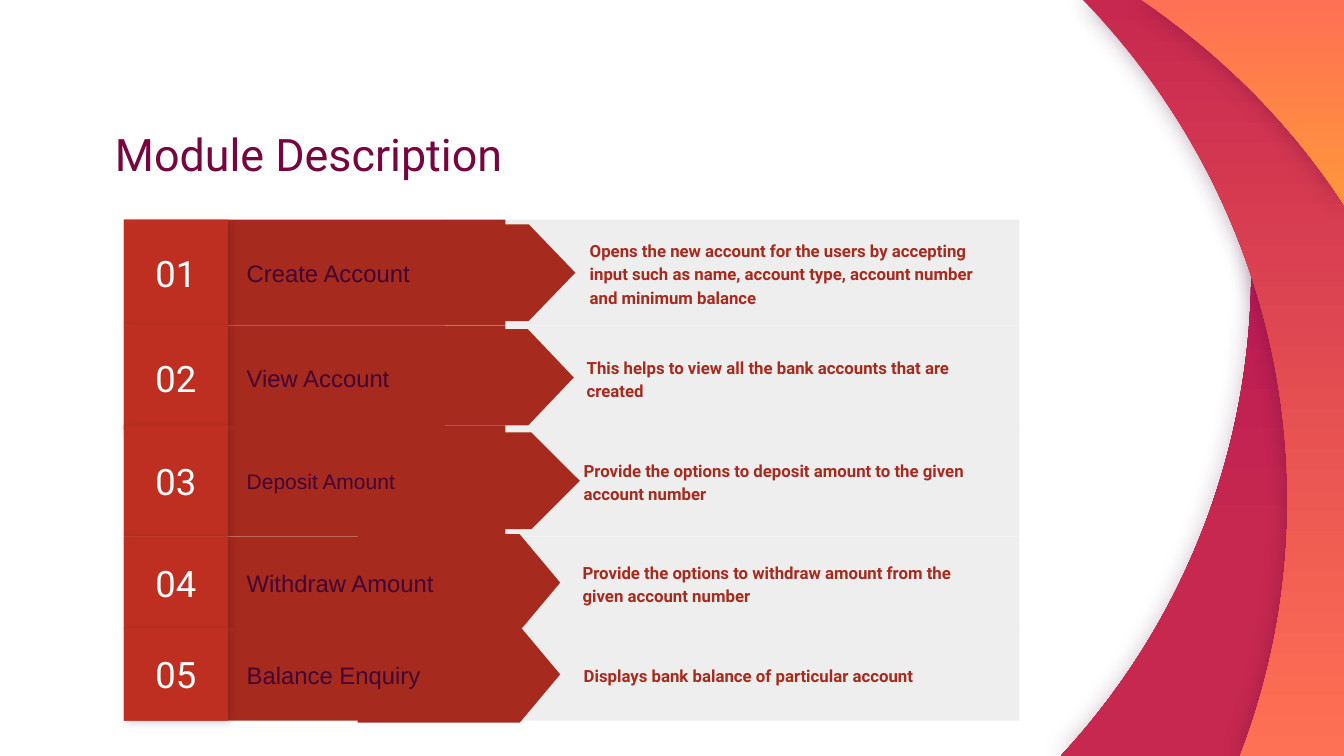
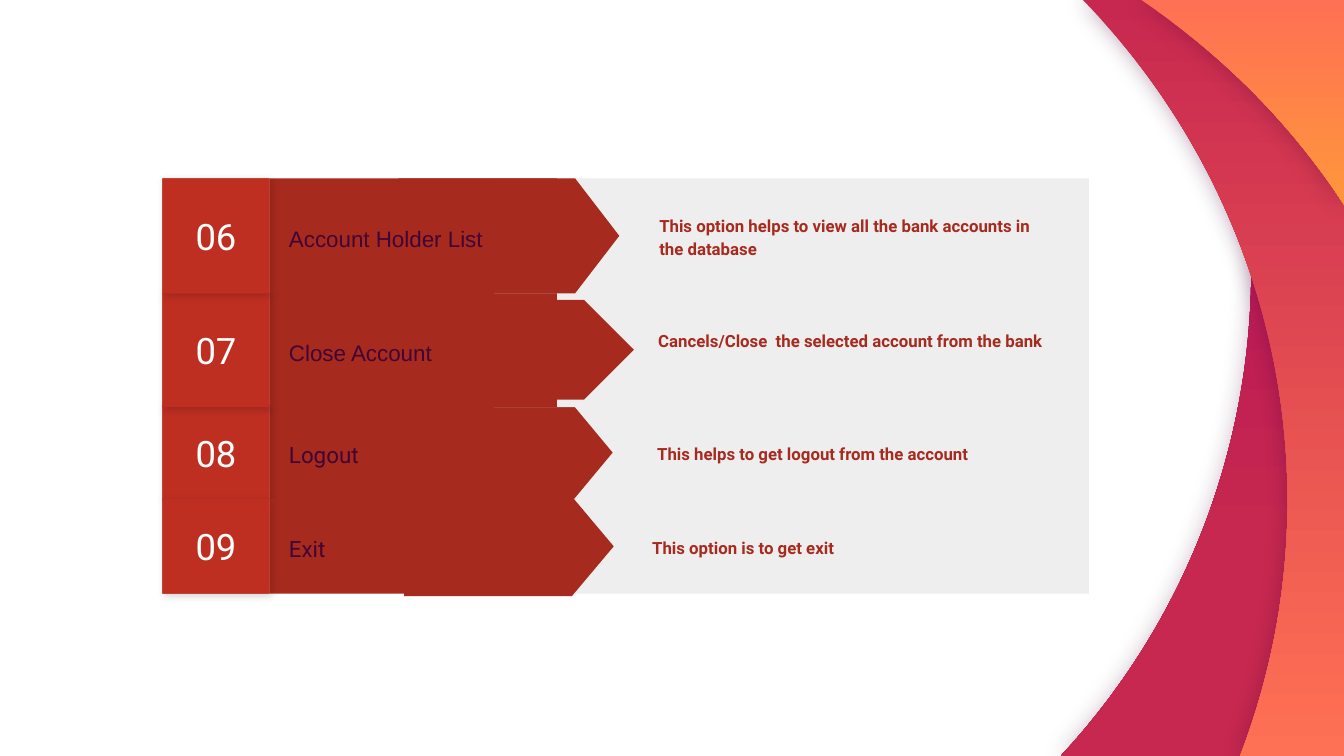
import collections
import dataclasses

import lxml.etree
import pptx
import pptx.dml.color
import pptx.enum.shapes
import pptx.enum.text
import pptx.oxml.ns
import pptx.util

inches = pptx.util.Inches
shapes_enum = pptx.enum.shapes.MSO_SHAPE
anchors = pptx.enum.text.MSO_ANCHOR
alignments = pptx.enum.text.PP_ALIGN
namespaced = pptx.oxml.ns.qn

Box = collections.namedtuple("Box", "left top width height")
Shadow = collections.namedtuple("Shadow", "color opacity blur distance angle")
Wave = collections.namedtuple("Wave", "start segments stops opacity")
Row = collections.namedtuple(
    "Row", "number top height label label_size label_font detail detail_left "
    "arrow_length arrow_breadth lift", defaults=(0,))


@dataclasses.dataclass(frozen=True)
class Theme:
    width: float = 13.33
    height: float = 7.5
    heading: str = "Roboto"
    body: str = "Arial"
    title_color: str = "77063F"
    plum: str = "410433"
    brick: str = "A72A1E"
    badge: str = "BE2F22"
    badge_base: str = "B02C20"
    panel: str = "EEEEEE"
    white: str = "FFFFFF"
    berry: str = "AC0C5C"
    crimson: str = "C7284F"
    coral: str = "FF7154"
    orange: str = "FF963C"
    title_size: int = 32
    number_size: int = 26
    label_size: int = 17
    small_label_size: int = 15
    compact_label_size: int = 16
    detail_size: int = 12
    loose_spacing: float = 1.15
    inset: float = 0.1


theme = Theme()
badge_shadow = Shadow("000000", 17, 5.6, 2.2, 45)

waves = [
    Wave((11.9, 0),
         [[(12.24, 0.85), (12.42, 1.75), (12.41, 2.67)],
          [(12.41, 4.53), (11.7, 6.23), (10.52, theme.height)],
          [(theme.width, theme.height)], [(theme.width, 0)]],
         [(0, theme.berry), (0.72, theme.crimson)], 25),
    Wave((10.74, 0),
         [[(11.99, 1.28), (12.77, 3.04), (12.77, 4.97)],
          [(12.77, 5.84), (12.61, 6.69), (12.3, theme.height)],
          [(theme.width, theme.height)], [(theme.width, 0)]],
         [(0, theme.crimson), (1, theme.coral)], 35),
    Wave((11.32, 0),
         [[(12.12, 0.54), (12.81, 1.23), (theme.width, 2.03)],
          [(theme.width, 0)]],
         [(0, theme.coral), (1, theme.orange)], 30),
]

account_rows = [
    Row("01", 2.18, 1.05, "Create Account", theme.label_size, theme.body,
        "Opens the new account for the users by accepting input such as name, "
        "account type, account number and minimum balance", 5.75, 2.31, 0.96),
    Row("02", 3.23, 1.03, "View Account", theme.label_size, theme.body,
        "This helps to view all the bank accounts that are created",
        5.72, 2.28, 0.96),
    Row("03", 4.22, 1.1, "Deposit Amount", theme.small_label_size, theme.body,
        "Provide the options to deposit amount to the given account number",
        5.69, 2.4, 0.96),
    Row("04", 5.32, 0.92, "Withdraw Amount", theme.label_size, theme.body,
        "Provide the options to withdraw amount from the given account number",
        5.68, 2.01, 0.96),
    Row("05", 6.23, 0.92, "Balance Enquiry", theme.label_size, theme.body,
        "Displays bank balance of particular account", 5.69, 2.01, 0.96),
]

closing_rows = [
    Row("08", 4.02, 0.94, "Logout", theme.compact_label_size, theme.heading,
        "This helps to get logout from the account", 6.42, 2.06, 0.99),
    Row("09", 4.95, 0.94, "Exit", theme.compact_label_size, theme.heading,
        "This option is to get exit", 6.37, 2.08, 0.99),
    Row("07", 2.9, 1.14, "Close Account", theme.compact_label_size, theme.body,
        "Cancels/Close  the selected account from the bank",
        6.43, 2.48, 0.99, 0.2),
    Row("06", 1.77, 1.14, "Account Holder List", theme.compact_label_size, theme.body,
        "This option helps to view all the bank accounts in the database",
        6.44, 2.19, 1.14),
]


def rgb(color):
    return pptx.dml.color.RGBColor.from_string(color)


def to_emu(box):
    return [inches(length) for length in box]


def add_shadow(shape, shadow):
    effects = shape.element.spPr.find(namespaced("a:effectLst"))
    outer = lxml.etree.SubElement(
        effects, namespaced("a:outerShdw"),
        blurRad=str(pptx.util.Pt(shadow.blur)), dist=str(pptx.util.Pt(shadow.distance)),
        dir=str(shadow.angle * 60000), algn="ctr", rotWithShape="0")
    color = lxml.etree.SubElement(outer, namespaced("a:srgbClr"), val=shadow.color)
    lxml.etree.SubElement(color, namespaced("a:alpha"), val=str(shadow.opacity * 1000))


def add_block(page, kind, box, color):
    shape = page.shapes.add_shape(kind, *to_emu(box))
    shape.shadow.inherit = False
    shape.fill.solid()
    shape.fill.fore_color.rgb = rgb(color)
    shape.line.fill.background()
    return shape


def write(shape, text, size, font, color, bold=False, anchor=anchors.MIDDLE,
          align=alignments.LEFT, spacing=1.0, inset=theme.inset, lift=0):
    frame = shape.text_frame
    frame.word_wrap = True
    frame.vertical_anchor = anchor
    frame.margin_left = frame.margin_right = frame.margin_top = inches(inset)
    frame.margin_bottom = inches(inset + lift)
    frame.text = text
    para = frame.paragraphs[0]
    para.alignment = align
    para.line_spacing = spacing
    span = para.runs[0]
    span.font.size = pptx.util.Pt(size)
    span.font.name = font
    span.font.bold = bold
    span.font.color.rgb = rgb(color)


def bend_curves(shape, segments):
    lines = iter(list(shape.element.iter(namespaced("a:lnTo"))))
    for controls in segments:
        group = [next(lines) for _ in controls]
        if len(group) == 1:
            continue
        curve = lxml.etree.Element(namespaced("a:cubicBezTo"))
        group[0].addprevious(curve)
        for line in group:
            curve.append(line[0])
            line.getparent().remove(line)


def add_wave(page, wave):
    corners = [(inches(x), inches(y)) for controls in wave.segments for x, y in controls]
    builder = page.shapes.build_freeform(*[inches(length) for length in wave.start])
    builder.add_line_segments(corners, close=True)
    shape = builder.convert_to_shape()
    bend_curves(shape, wave.segments)
    shape.shadow.inherit = False
    shape.fill.gradient()
    shape.fill.gradient_angle = 270
    for stop, (position, color) in zip(shape.fill.gradient_stops, wave.stops):
        stop.position = position
        stop.color.rgb = rgb(color)
    shape.line.fill.background()
    add_shadow(shape, Shadow(theme.plum, wave.opacity, 16.9, 0, 0))
    return shape


def decorate_layout(layout, page):
    for placeholder in list(layout.placeholders):
        layout.shapes.element.remove(placeholder.element)
    for shape in [add_wave(page, wave) for wave in waves]:
        layout.shapes.element.append(shape.element)


def add_title(page, text, box):
    title = page.shapes.add_textbox(*to_emu(box))
    write(title, text, theme.title_size, theme.heading, theme.title_color,
          anchor=anchors.BOTTOM, spacing=0.9, inset=0)


def add_row(page, row, left, width, label_spacing):
    def cell(start, share, drop=0, depth=1):
        return Box(left + start * width, row.top + drop * row.height,
                   share * width, depth * row.height)

    add_block(page, shapes_enum.RECTANGLE, cell(0.358, 0.642), theme.panel)
    add_block(page, shapes_enum.RECTANGLE, cell(0.116, 0.31), theme.brick)

    center_x = left + 0.374 * width
    center_y = row.top + row.height / 2
    arrow = add_block(
        page, shapes_enum.FLOWCHART_OFFPAGE_CONNECTOR,
        Box(center_x - row.arrow_breadth / 2, center_y - row.arrow_length / 2,
            row.arrow_breadth, row.arrow_length), theme.brick)
    arrow.rotation = 270

    label = page.shapes.add_textbox(*to_emu(cell(0.126, 0.325, 0.12, 0.77)))
    write(label, row.label, row.label_size, row.label_font, theme.plum,
          spacing=label_spacing)

    base = add_block(page, shapes_enum.RECTANGLE, cell(0, 0.116), theme.badge_base)
    add_shadow(base, badge_shadow)
    badge = add_block(page, shapes_enum.RECTANGLE, cell(0, 0.116), theme.badge)
    write(badge, row.number, theme.number_size, theme.heading, theme.white,
          align=alignments.CENTER)

    detail_width = left + 0.968 * width - row.detail_left
    detail = page.shapes.add_textbox(
        *to_emu(Box(row.detail_left, row.top, detail_width, row.height)))
    write(detail, row.detail, theme.detail_size, theme.heading, theme.brick,
          bold=True, spacing=theme.loose_spacing, lift=row.lift)


def add_module_list(page, rows, left, width, label_spacing=1.0):
    for row in rows:
        add_row(page, row, left, width, label_spacing)


deck = pptx.Presentation()
deck.slide_width = inches(theme.width)
deck.slide_height = inches(theme.height)
blank = deck.slide_layouts[6]

accounts = deck.slides.add_slide(blank)
decorate_layout(blank, accounts)
add_title(accounts, "Module Description", Box(1.14, 1.22, 10.15, 0.58))
add_module_list(accounts, account_rows, 1.23, 8.88)

closing = deck.slides.add_slide(blank)
add_module_list(closing, closing_rows, 1.61, 9.19, theme.loose_spacing)

deck.save("out.pptx")
